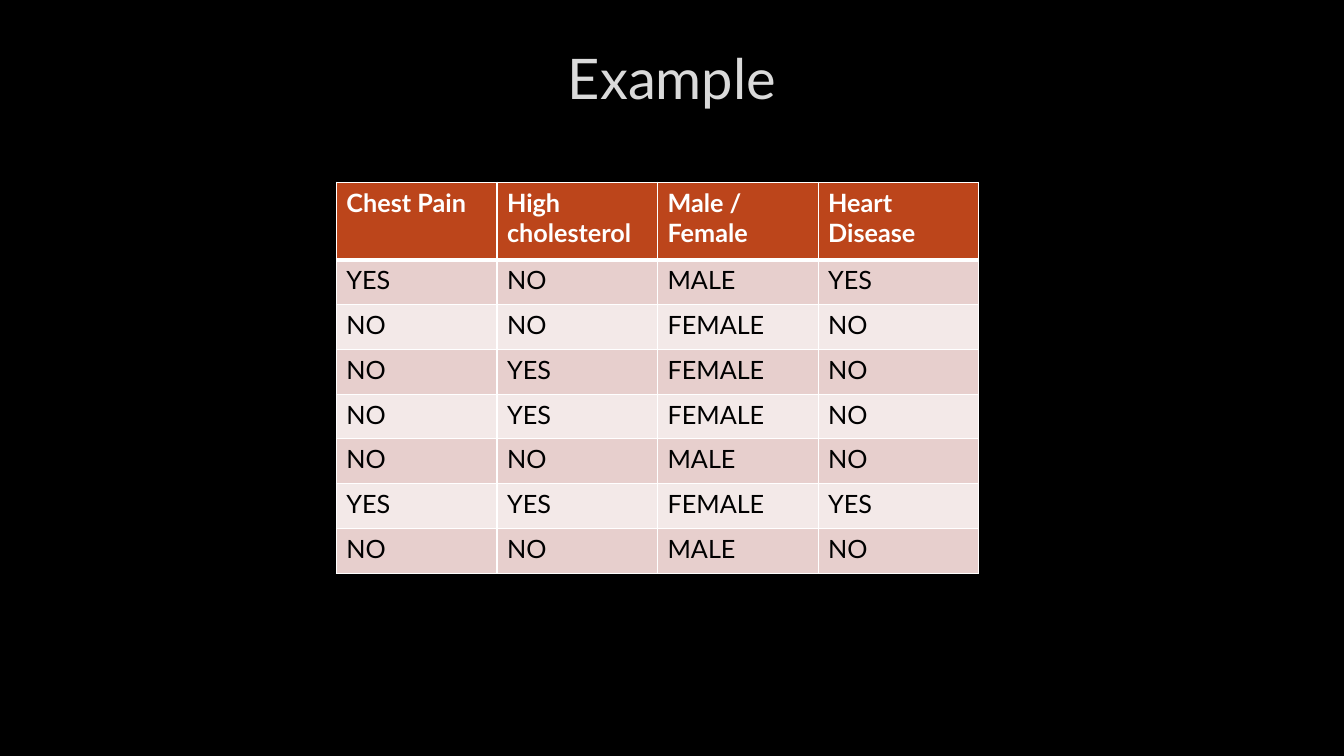
import pptx
import pptx.util
import pptx.dml.color
import pptx.enum.text
import pptx.oxml
import pptx.oxml.ns

Pt = pptx.util.Pt


def tint(code):
    return pptx.dml.color.RGBColor.from_string(code)


def line(tag, width, code, alpha=100):
    return pptx.oxml.parse_xml(
        f'<a:{tag} {pptx.oxml.ns.nsdecls("a")} w="{Pt(width)}"><a:solidFill>'
        f'<a:srgbClr val="{code}"><a:alpha val="{alpha * 1000}"/></a:srgbClr>'
        f'</a:solidFill><a:prstDash val="solid"/></a:{tag}>')


class Deck:
    font = "Lato"
    head = "BC451B"
    bands = ("E7CFCD", "F3E9E8")

    def __init__(self, wide, high):
        self.show = pptx.Presentation()
        self.show.slide_width = Pt(wide)
        self.show.slide_height = Pt(high)
        self.slide = self.show.slides.add_slide(self.show.slide_layouts[6])
        fill = self.slide.background.fill
        fill.solid()
        fill.fore_color.rgb = tint("000000")

    def run(self, para, text, size, code, bold=False):
        run = para.add_run()
        run.text = text
        font = run.font
        font.name, font.size, font.bold = self.font, Pt(size), bold
        font.color.rgb = tint(code)
        return run

    def title(self, text, left, top, wide, high):
        box = self.slide.shapes.add_textbox(Pt(left), Pt(top), Pt(wide), Pt(high))
        frame = box.text_frame
        frame.word_wrap = True
        frame.vertical_anchor = pptx.enum.text.MSO_ANCHOR.MIDDLE
        para = frame.paragraphs[0]
        para.alignment = pptx.enum.text.PP_ALIGN.CENTER
        run = self.run(para, text, 40, "DADADA")
        run.font._element.insert(0, line("ln", 0.75, "404040", 10))

    def cell(self, cell, text, fill, code, bold, base):
        cell.fill.solid()
        cell.fill.fore_color.rgb = tint(fill)
        self.run(cell.text_frame.paragraphs[0], text, 18, code, bold)
        props = cell._tc.get_or_add_tcPr()
        edges = {"lnL": 1, "lnR": 1, "lnT": base[0], "lnB": base[1]}
        for spot, (tag, width) in enumerate(edges.items()):
            props.insert(spot, line(tag, width, "FFFFFF"))

    def table(self, rows, left, top, wide, first, step):
        count = len(rows[0])
        high = first + step * (len(rows) - 1)
        grid = self.slide.shapes.add_table(
            len(rows), count, Pt(left), Pt(top), Pt(wide * count), Pt(high)).table
        for col in grid.columns:
            col.width = Pt(wide)
        for r, row in enumerate(rows):
            top_row = r == 0
            grid.rows[r].height = Pt(first if top_row else step)
            fill = self.head if top_row else self.bands[(r - 1) % 2]
            code = "FFFFFF" if top_row else "000000"
            base = (3 if r == 1 else 1, 3 if top_row else 1)
            for c, text in enumerate(row):
                self.cell(grid.cell(r, c), text, fill, code, top_row, base)


def main():
    deck = Deck(960, 540)
    deck.title("Example", 72.5, 16.5, 815, 76.5)
    deck.table([
        ("Chest Pain", "High cholesterol", "Male / Female", "Heart Disease"),
        ("YES", "NO", "MALE", "YES"),
        ("NO", "NO", "FEMALE", "NO"),
        ("NO", "YES", "FEMALE", "NO"),
        ("NO", "YES", "FEMALE", "NO"),
        ("NO", "NO", "MALE", "NO"),
        ("YES", "YES", "FEMALE", "YES"),
        ("NO", "NO", "MALE", "NO"),
    ], 240.3, 130.2, 114.7, 55.4, 32)
    deck.show.save("out.pptx")


if __name__ == "__main__":
    main()
